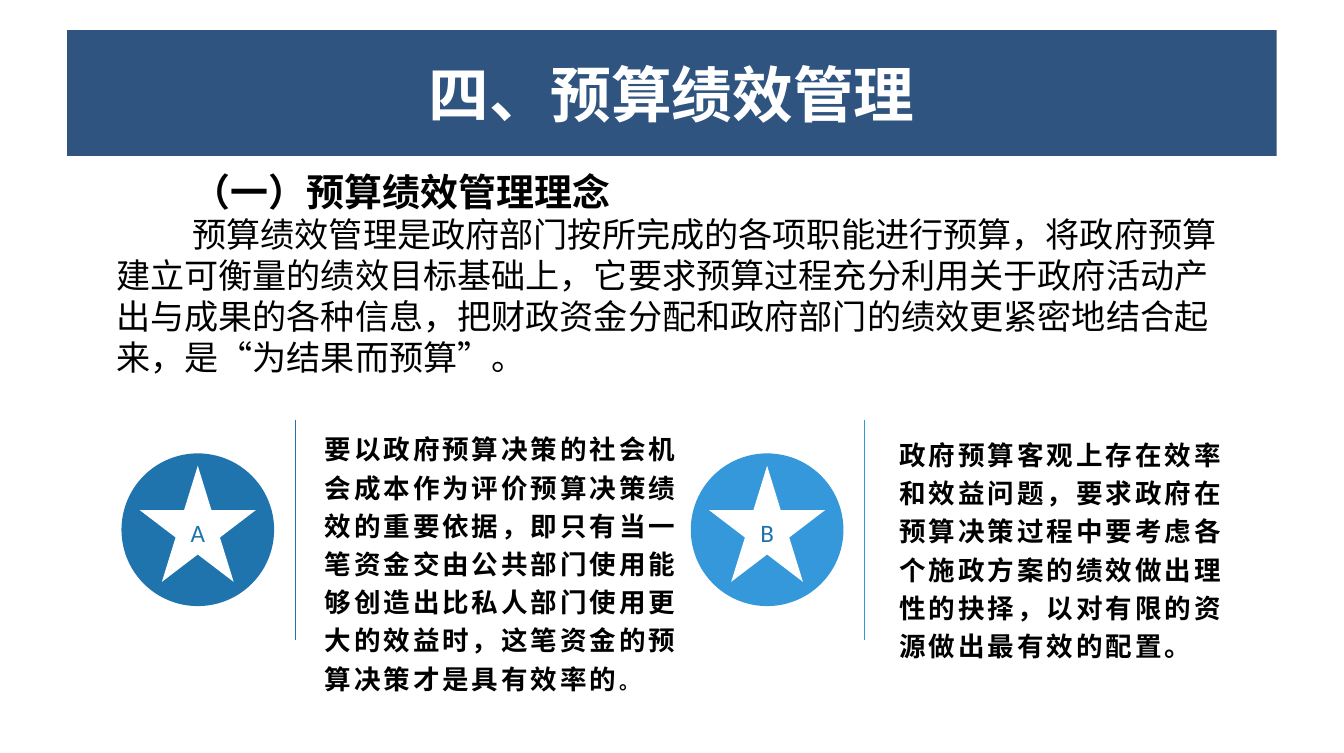
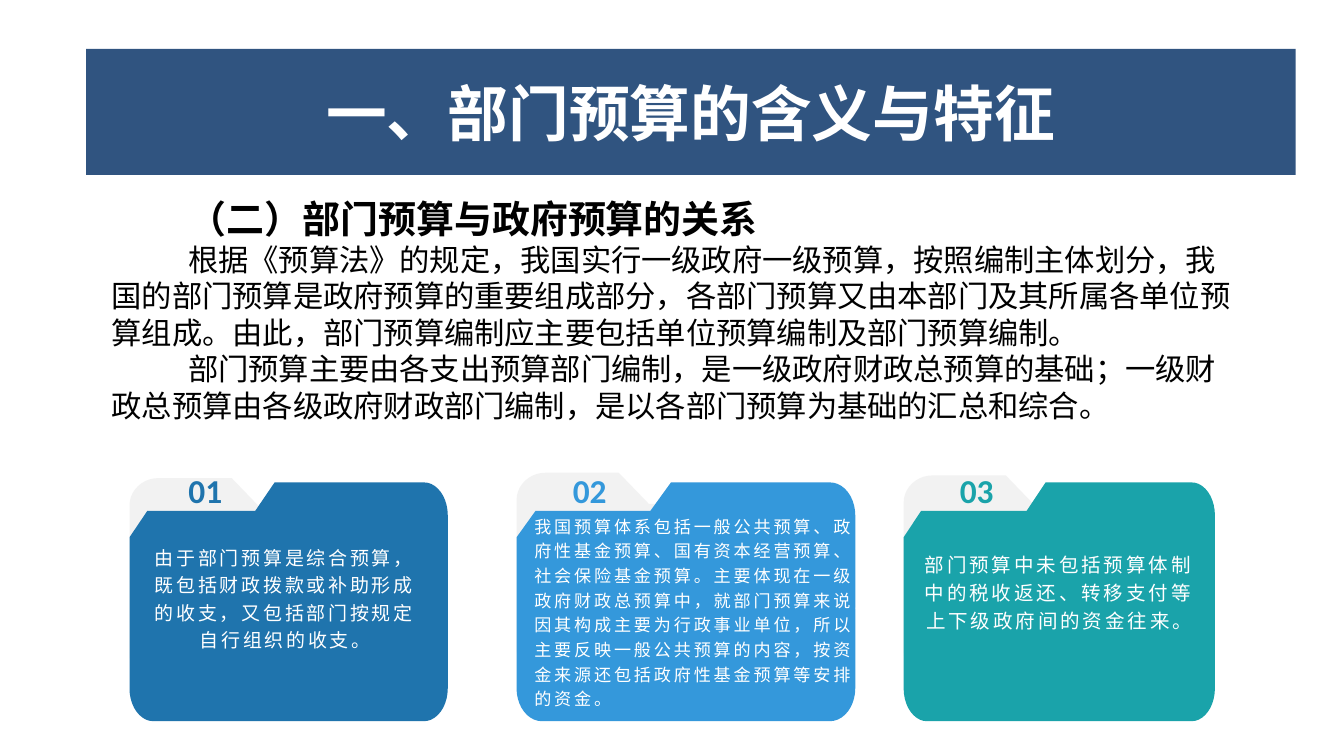
from math import cos, radians, sin
from lxml import etree
from pptx import Presentation
from pptx.dml.color import RGBColor
from pptx.enum.shapes import MSO_CONNECTOR, MSO_SHAPE
from pptx.enum.text import MSO_ANCHOR, MSO_AUTO_SIZE, PP_ALIGN
from pptx.oxml.ns import qn
from pptx.util import Cm, Pt

CENTER, LEFT = PP_ALIGN.CENTER, PP_ALIGN.LEFT
MIDDLE, TOP = MSO_ANCHOR.MIDDLE, MSO_ANCHOR.TOP
FIXED = MSO_AUTO_SIZE.NONE
OVAL, STAR = MSO_SHAPE.OVAL, MSO_SHAPE.STAR_5_POINT
STRAIGHT = MSO_CONNECTOR.STRAIGHT
TITLE_ONLY = 5

CHINESE, LATIN = "Noto Sans CJK SC", "Calibri"
BAND, BLUE, SKY, TEAL = "305480", "1F74AD", "3498DB", "1AA3AA"
WHITE, BLACK, PALE = "FFFFFF", "000000", "F2F2F2"


def color(value):
    return RGBColor.from_string(value)


def corner(x, y, radius_x, radius_y, start):
    angles = [radians(start + 9 * step) for step in range(11)]
    return [(x + radius_x * cos(a), y + radius_y * sin(a)) for a in angles]


class Builder:
    def __init__(self):
        self.deck = Presentation()
        self.deck.slide_width, self.deck.slide_height = Cm(25), Cm(14)
        self.page = None

    def add_page(self, title, left, top):
        self.page = self.deck.slides.add_slide(self.deck.slide_layouts[TITLE_ONLY])
        band = self.page.shapes.title
        band.left, band.top, band.width, band.height = Cm(left), Cm(top), Cm(22.5), Cm(2.34)
        self.paint(band, BAND)
        self.frame(band, MIDDLE)
        self.fill_paragraph(band.text_frame.paragraphs[0], title, 32, WHITE,
                            bold=True, align=CENTER)

    def paint(self, shape, fill):
        shape.fill.solid()
        shape.fill.fore_color.rgb = color(fill)
        shape.line.fill.background()

    def frame(self, shape, anchor):
        frame = shape.text_frame
        frame.word_wrap = True
        frame.auto_size = FIXED
        frame.vertical_anchor = anchor
        return frame

    def fill_paragraph(self, paragraph, text, size, ink, face=CHINESE, bold=False, align=LEFT,
                       spread=0, leading=1.0, indent=0):
        span = paragraph.add_run()
        span.text = text
        paragraph.alignment = align
        paragraph.line_spacing = leading
        if indent:
            properties = paragraph._p.get_or_add_pPr()
            properties.set("marL", "0")
            properties.set("indent", str(Cm(indent)))
        font = paragraph.font
        font.size, font.bold, font.name = Pt(size), bold, face
        font.color.rgb = color(ink)
        defaults = paragraph._p.pPr.find(qn("a:defRPr"))
        defaults.set("spc", str(int(spread * 100)))
        etree.SubElement(defaults, qn("a:ea")).set("typeface", CHINESE)

    def box(self, left, top, width, height, anchor=MIDDLE):
        box = self.page.shapes.add_textbox(Cm(left), Cm(top), Cm(width), Cm(height))
        return self.frame(box, anchor)

    def text(self, bounds, text, size, ink, inset=0.25, **style):
        frame = self.box(*bounds)
        frame.margin_left = frame.margin_right = Cm(inset)
        paragraph = frame.paragraphs[0]
        self.fill_paragraph(paragraph, text, size, ink, **style)
        return paragraph

    def body(self, bounds, heading, passages, size):
        frame = self.box(*bounds, anchor=TOP)
        self.fill_paragraph(frame.paragraphs[0], heading, 20, BLACK, LATIN,
                            bold=True, indent=1.42)
        for passage in passages:
            self.fill_paragraph(frame.add_paragraph(), passage, size, BLACK, LATIN, indent=1.42)

    def shape(self, kind, left, top, size, fill):
        shape = self.page.shapes.add_shape(kind, Cm(left), Cm(top), Cm(size), Cm(size))
        shape.shadow.inherit = False
        self.paint(shape, fill)
        return shape

    def badge(self, left, letter, fill):
        self.shape(OVAL, left, 8.43, 2.84, fill)
        star = self.shape(STAR, left + 0.34, 8.66, 2.16, WHITE)
        frame = self.frame(star, MIDDLE)
        self.fill_paragraph(frame.paragraphs[0], letter, 13.2, BLUE, LATIN, align=CENTER)
        self.divider(left + 3.23, fill)

    def divider(self, x, ink):
        line = self.page.shapes.add_connector(STRAIGHT, Cm(x), Cm(7.8), Cm(x), Cm(11.89))
        line.line.color.rgb = color(ink)
        line.line.width = Pt(0.5)
        etree.SubElement(line._element.spPr, qn("a:effectLst"))

    def outline(self, left, top, points, fill):
        places = [(Cm(left + x), Cm(top + y)) for x, y in points]
        builder = self.page.shapes.build_freeform(*places[0], scale=1.0)
        builder.add_line_segments(places[1:], close=True)
        shape = builder.convert_to_shape()
        shape.shadow.inherit = False
        self.paint(shape, fill)

    def folder(self, left, width, tab_top, fill):
        tab_width, tab_height, radius = 5.79, 3.72, 0.44
        right, bottom = tab_width - radius, tab_height - radius
        tab = (corner(0.54, 0.51, 0.54, 0.51, 180)
               + [(1.9, 0), (2.46, 0.58)]
               + corner(right, 0.58 + radius, radius, radius, 270)
               + corner(right, bottom, radius, radius, 0)
               + corner(radius, bottom, radius, radius, 90))
        self.outline(left, tab_top, tab, PALE)
        height, round_x, round_y = 4.44, 0.075 * width, 0.61
        card = ([(0, 1.02), (0.056 * width, 0.53), (0.395 * width, 0.53), (0.456 * width, 0)]
                + corner(width - round_x, round_y, round_x, round_y, 270)
                + corner(width - round_x, height - round_y, round_x, round_y, 0)
                + corner(round_x, height - round_y, round_x, round_y, 90))
        self.outline(left, 8.97, card, fill)


def concept_page(builder):
    builder.add_page("四、预算绩效管理", 1.25, 0.56)
    builder.body((1.91, 3, 21.36, 4.19), "（一）预算绩效管理理念", [
        "预算绩效管理是政府部门按所完成的各项职能进行预算，将政府预算建立可衡量的绩效目标基础上，"
        "它要求预算过程充分利用关于政府活动产出与成果的各种信息，把财政资金分配和政府部门的绩效"
        "更紧密地结合起来，是“为结果而预算”。"], 18)
    style = {"bold": True, "spread": 1.5, "leading": 1.2}
    builder.badge(2.26, "A", BLUE)
    reason = builder.text(
        (5.79, 8.05, 7.37, 4.75),
        "要以政府预算决策的社会机会成本作为评价预算决策绩效的重要依据，即只有当一笔资金交由公共部门"
        "使用能够创造出比私人部门使用更大的效益时，这笔资金的预算决策才是具有效率的",
        14, BLACK, **style)
    stop = reason.add_run()
    stop.text = "。"
    stop.font.size = Pt(10.5)
    builder.badge(12.85, "B", SKY)
    builder.text(
        (16.48, 7.8, 6.81, 4.75),
        "政府预算客观上存在效率和效益问题，要求政府在预算决策过程中要考虑各个施政方案的绩效"
        "做出理性的抉择，以对有限的资源做出最有效的配置。",
        14, BLACK, **style)


def relation_page(builder):
    builder.add_page("一、部门预算的含义与特征", 1.6, 0.91)
    builder.body((1.83, 3.51, 21.36, 5.21), "（二）部门预算与政府预算的关系", [
        "根据《预算法》的规定，我国实行一级政府一级预算，按照编制主体划分，我国的部门预算是政府预算的"
        "重要组成部分，各部门预算又由本部门及其所属各单位预算组成。由此，部门预算编制应主要包括"
        "单位预算编制及部门预算编制。",
        "部门预算主要由各支出预算部门编制，是一级政府财政总预算的基础；一级财政总预算由各级政府"
        "财政部门编制，是以各部门预算为基础的汇总和综合。"], 16)
    folders = [
        (5.92, 8.89, BLUE, 10.13, 5.49, 10, CENTER, 0.28,
         "由于部门预算是综合预算，既包括财政拨款或补助形成的收支，又包括部门按规定自行组织的收支。"),
        (6.3, 8.79, SKY, 10.39, 6.3, 9, LEFT, 0.23,
         "我国预算体系包括一般公共预算、政府性基金预算、国有资本经营预算、社会保险基金预算。"
         "主要体现在一级政府财政总预算中，就部门预算来说，因其构成主要为行政事业单位，"
         "所以主要反映一般公共预算的内容，按资金来源还包括政府性基金预算等安排的资金。"),
        (5.79, 8.84, TEAL, 10.01, 5.49, 10.3, CENTER, 0.23,
         "部门预算中未包括预算体制中的税收返还、转移支付等上下级政府间的资金往来。"),
    ]
    for index, (width, tab_top, fill, text_top, text_width, size, align, shift,
                text) in enumerate(folders):
        left = 2.41 + 7.2 * index
        builder.folder(left, width, tab_top, fill)
        builder.text((left + 0.15, text_top, text_width, 1.93), text, size, WHITE,
                     inset=0.18, align=align, spread=1.5, leading=1.2)
        builder.text((left + shift, 8.61, 2.26, 0.99), f"{index + 1:02}", 17.6, fill,
                     face=LATIN, bold=True, align=CENTER)


def main():
    builder = Builder()
    concept_page(builder)
    relation_page(builder)
    builder.deck.save("out.pptx")


if __name__ == "__main__":
    main()
